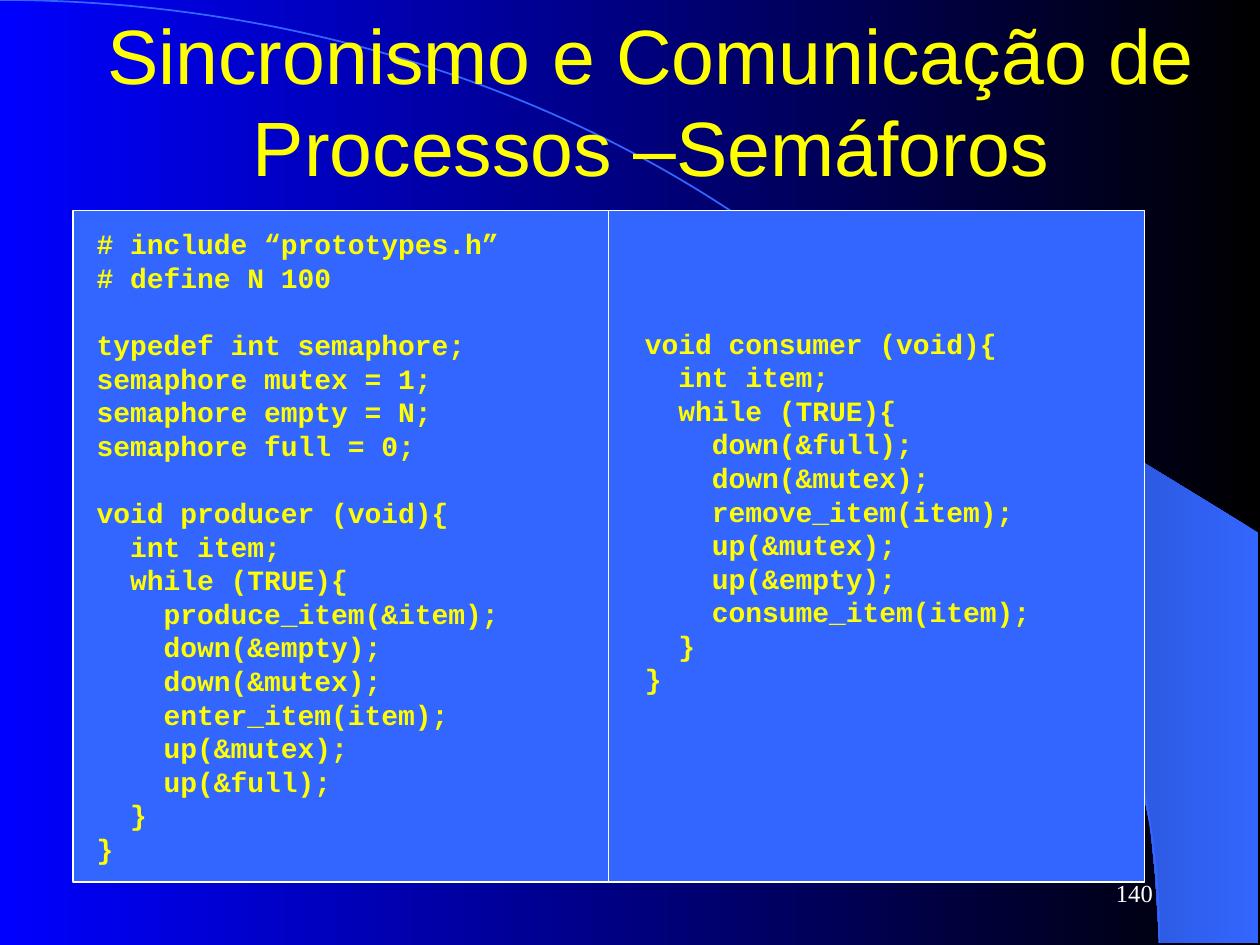
from pptx import Presentation
from pptx import util as u
from pptx.dml.color import RGBColor
from pptx.enum import shapes, text

THEME = {
    "black": "000000", "blue": "0000FF", "panel": "3366FF", "shade": "172F75",
    "yellow": "FFFF00", "white": "FFFFFF",
    "title": ("Arial", 44, 52.6), "code": ("Courier New", 16, 19.2),
    "number": ("Times New Roman", 14, 16.8),
}

TITLE = "Sincronismo e Comunicação de Processos –Semáforos"
PAGE_NUMBER = "140"

PRODUCER = [
    """# include “prototypes.h”
# define N 100""",
    """typedef int semaphore;
semaphore mutex = 1;
semaphore empty = N;
semaphore full = 0;""",
    """void producer (void){
  int item;
  while (TRUE){
    produce_item(&item);
    down(&empty);
    down(&mutex);
    enter_item(item);
    up(&mutex);
    up(&full);
  }
}""",
]
CONSUMER = [
    """void consumer (void){
  int item;
  while (TRUE){
    down(&full);
    down(&mutex);
    remove_item(item);
    up(&mutex);
    up(&empty);
    consume_item(item);
  }
}""",
]

LISTINGS = [
    (PRODUCER, (1.7, 4.45, 10.16, 13.13), True),
    (CONSUMER, (12.75, 6.45, 8.94, 7.7), False),
]
PANEL_LEFT, PANEL_TOP, PANEL_WIDTH, PANEL_HEIGHT = 1.47, 4.24, 10.8, 13.54

BAND = [
    (23.37, 19), (25.37, 19.02), (25.37, 10.74), (14.96, 4.39), (15.85, 5.05),
    (16.59, 5.64), (17.4, 6.35), (18.19, 7.11), (19.35, 8.38), (20.4, 9.75),
    (21.13, 10.95), (21.79, 12.17), (22.3, 13.41), (22.68, 14.53),
    (22.94, 15.47), (23.19, 16.66), (23.29, 17.68),
]
ARC = (-23.37, 0, 46.74, 38.02)


def color(name):
    return RGBColor.from_string(THEME[name])


def lengths(values):
    return [u.Cm(value) for value in values]


def fill_gradient(fill, start, end):
    fill.gradient()
    fill.gradient_angle = 180
    for stop, name in zip(fill.gradient_stops, (start, end)):
        stop.color.rgb = color(name)


def outline(shape, name, width):
    shape.shadow.inherit = False
    shape.line.color.rgb = color(name)
    shape.line.width = u.Pt(width)


def style(para, kind, name, align):
    font, size, spacing = THEME[kind]
    para.alignment = align
    para.line_spacing = u.Pt(spacing)
    for span in para.runs:
        span.font.name = font
        span.font.size = u.Pt(size)
        span.font.bold = kind == "code"
        span.font.color.rgb = color(name)


def add_backdrop(page):
    fill_gradient(page.background.fill, "black", "blue")
    points = [lengths(point) for point in BAND]
    builder = page.shapes.build_freeform(*points[0])
    builder.add_line_segments(points[1:], close=True)
    band = builder.convert_to_shape()
    band.shadow.inherit = False
    fill_gradient(band.fill, "panel", "shade")
    band.line.fill.background()

    arc = page.shapes.add_shape(shapes.MSO_SHAPE.ARC, *lengths(ARC))
    arc.fill.background()
    outline(arc, "panel", 1)
    for shape in (band, arc):
        page.shapes.title.element.addprevious(shape.element)


def add_title(page):
    title = page.shapes.title
    title.left, title.top, title.width, title.height = lengths((1.7, 0.43, 22.86, 3.18))
    frame = title.text_frame
    frame.text = TITLE
    frame.word_wrap = True
    frame.auto_size = text.MSO_AUTO_SIZE.NONE
    frame.vertical_anchor = text.MSO_ANCHOR.MIDDLE
    style(frame.paragraphs[0], "title", "yellow", text.PP_ALIGN.CENTER)


def add_panel(page, column):
    place = (PANEL_LEFT + column * PANEL_WIDTH, PANEL_TOP, PANEL_WIDTH, PANEL_HEIGHT)
    panel = page.shapes.add_shape(shapes.MSO_SHAPE.RECTANGLE, *lengths(place))
    panel.fill.solid()
    panel.fill.fore_color.rgb = color("panel")
    outline(panel, "white", 0.75)


def add_listing(page, blocks, place, wrap):
    frame = page.shapes.add_textbox(*lengths(place)).text_frame
    frame.word_wrap = wrap
    frame.auto_size = text.MSO_AUTO_SIZE.SHAPE_TO_FIT_TEXT
    frame.text = "\n".join(blocks)
    for para in frame.paragraphs:
        style(para, "code", "yellow", text.PP_ALIGN.LEFT)
    first = 0
    for block in blocks[:-1]:
        first += len(block.splitlines())
        frame.paragraphs[first].space_before = u.Pt(THEME["code"][2])


def add_page_number(page):
    box = page.shapes.add_textbox(*lengths((18.2, 17.36, 5.29, 1.27)))
    frame = box.text_frame
    frame.text = PAGE_NUMBER
    frame.word_wrap = True
    frame.vertical_anchor = text.MSO_ANCHOR.MIDDLE
    style(frame.paragraphs[0], "number", "white", text.PP_ALIGN.RIGHT)


def main():
    deck = Presentation()
    deck.slide_width, deck.slide_height = lengths((25.4, 19.05))
    page = deck.slides.add_slide(deck.slide_layouts[5])
    add_backdrop(page)
    add_title(page)
    for column in range(len(LISTINGS)):
        add_panel(page, column)
    for listing in LISTINGS:
        add_listing(page, *listing)
    add_page_number(page)
    deck.save("out.pptx")


if __name__ == "__main__":
    main()
